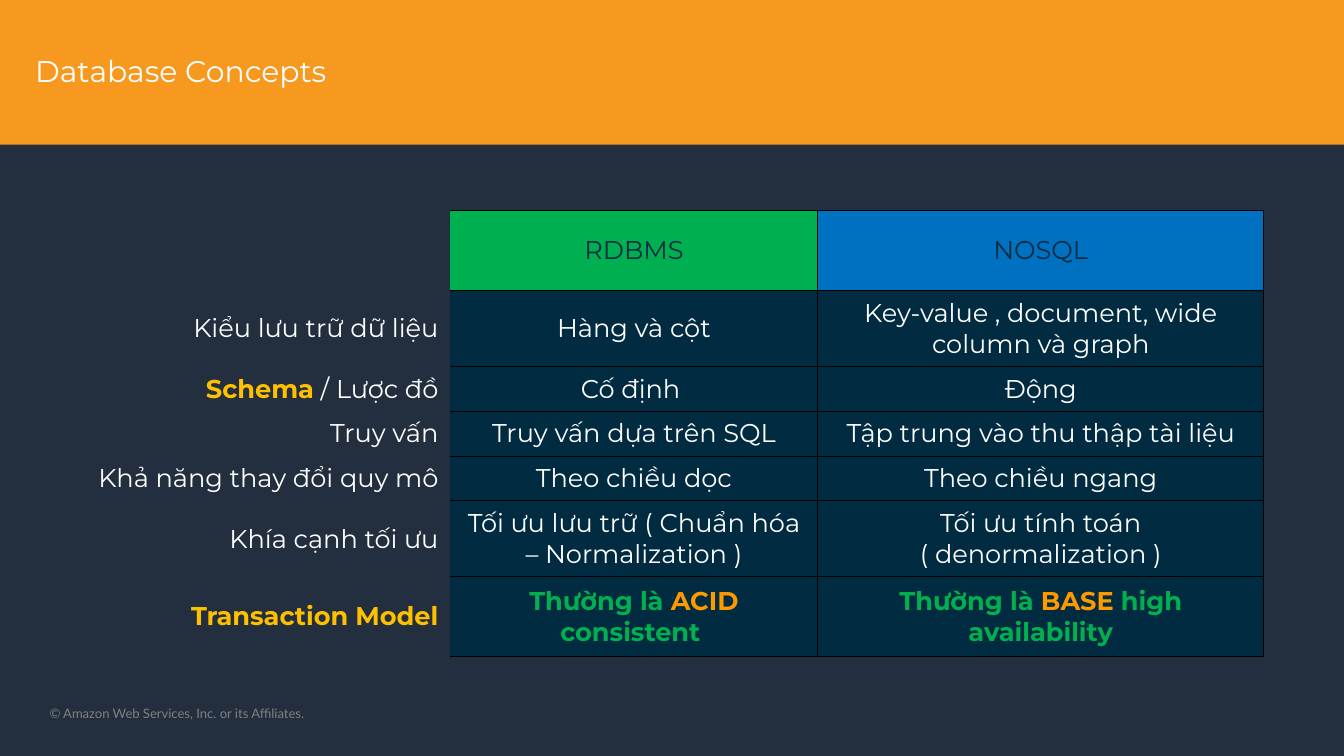
"""Build the Database Concepts slide comparing RDBMS with NOSQL."""
from lxml.etree import fromstring
from pptx import Presentation
from pptx.dml.color import RGBColor
from pptx.enum.shapes import MSO_SHAPE
from pptx.enum.text import MSO_ANCHOR, PP_ALIGN
from pptx.oxml.ns import nsdecls, qn
from pptx.util import Pt

COLORS = {"bg": "232F3E", "banner": "F7991F", "white": "FFFFFF", "grey": "808080",
          "header": "002D43", "cell": "002B40", "green": "00B050", "blue": "0070C0",
          "yellow": "FFC000", "orange": "FF9900", "border": "000000"}
NO_GRID_STYLE = "{2D5ABB26-0587-4C30-8999-92F81FD0307C}"


def add_run(p, text, size, color, font="Montserrat", bold=False):
    r = p.add_run()
    r.text = text
    r.font.size, r.font.name, r.font.bold = Pt(size), font, bold
    r.font.color.rgb = RGBColor.from_string(COLORS[color])


def paint(fill, color):
    fill.solid()
    fill.fore_color.rgb = RGBColor.from_string(COLORS[color])


prs = Presentation()
prs.slide_width, prs.slide_height = Pt(1152), Pt(648)
s = prs.slides.add_slide(prs.slide_layouts[6])
paint(s.background.fill, "bg")

banner = s.shapes.add_shape(MSO_SHAPE.RECTANGLE, 0, 0, Pt(1152), Pt(124))
banner.shadow.inherit = False
paint(banner.fill, "banner")
banner.line.fill.background()

labels = [
    (30.2, 45.4, 870.5, 31, "Database Concepts", 25.6, "white", "Montserrat"),
    (42.5, 604.8, 560, 13.7, "© Amazon Web Services, Inc. or its Affiliates.", 11.2, "grey", "Lato"),
]
for x, y, w, h, text, size, color, font in labels:
    tf = s.shapes.add_textbox(Pt(x), Pt(y), Pt(w), Pt(h)).text_frame
    tf.word_wrap = True
    tf.margin_left = tf.margin_right = tf.margin_top = tf.margin_bottom = 0
    add_run(tf.paragraphs[0], text, size, color, font)

rows = [
    ("", [("RDBMS", "header")], [("NOSQL", "header")]),
    ("Kiểu lưu trữ dữ liệu", "Hàng và cột", "Key-value , document, wide column và graph"),
    ([("Schema", "yellow"), (" / Lược đồ", "white")], "Cố định ", "Động"),
    ("Truy vấn", "Truy vấn dựa trên SQL", "Tập trung vào thu thập tài liệu"),
    ("Khả năng thay đổi quy mô", "Theo chiều dọc", "Theo chiều ngang"),
    ("Khía cạnh tối ưu", "Tối ưu lưu trữ ( Chuẩn hóa – Normalization )",
     "Tối ưu tính toán ( denormalization )"),
    ([("Transaction Model", "yellow")],
     [("Thường là", "green"), (" ACID ", "orange"), ("consistent ", "green")],
     [("Thường là ", "green"), ("BASE ", "orange"), ("high availability", "green")]),
]
col_widths = [343.3, 315.2, 382.2]
row_heights = [68.2, 65.2, 38.4, 38.4, 38.4, 65.2, 68.4]
header_fills = [None, "green", "blue"]
bold_colors = {"yellow", "green", "orange"}

frame = s.shapes.add_table(len(rows), len(col_widths), Pt(42.5), Pt(180.8),
                           Pt(sum(col_widths)), Pt(sum(row_heights)))
table = frame.table
table.first_row = table.horz_banding = False
table._tbl.tblPr.find(qn("a:tableStyleId")).text = NO_GRID_STYLE
for col, width in zip(table.columns, col_widths):
    col.width = Pt(width)
for row, height in zip(table.rows, row_heights):
    row.height = Pt(height)

for i, row in enumerate(rows):
    for j, content in enumerate(row):
        cell = table.cell(i, j)
        cell.vertical_anchor = MSO_ANCHOR.MIDDLE
        cell.margin_left = cell.margin_right = Pt(10)
        cell.margin_top = cell.margin_bottom = Pt(5.7)
        p = cell.text_frame.paragraphs[0]
        p.alignment = PP_ALIGN.CENTER if j else PP_ALIGN.RIGHT
        runs = [(content, "white")] if isinstance(content, str) else content
        for text, color in runs:
            if text:
                add_run(p, text, 22, color, bold=color in bold_colors)
        if j == 0:
            cell.fill.background()
            continue
        paint(cell.fill, "cell" if i else header_fills[j])
        sides = ["lnR", "lnT", "lnB"] if j == 1 else ["lnL", "lnR", "lnT", "lnB"]
        for k, side in enumerate(sides):
            cell._tc.tcPr.insert(k, fromstring(
                f'<a:{side} {nsdecls("a")} w="12700"><a:solidFill>'
                f'<a:srgbClr val="{COLORS["border"]}"/></a:solidFill></a:{side}>'))

prs.save("out.pptx")
